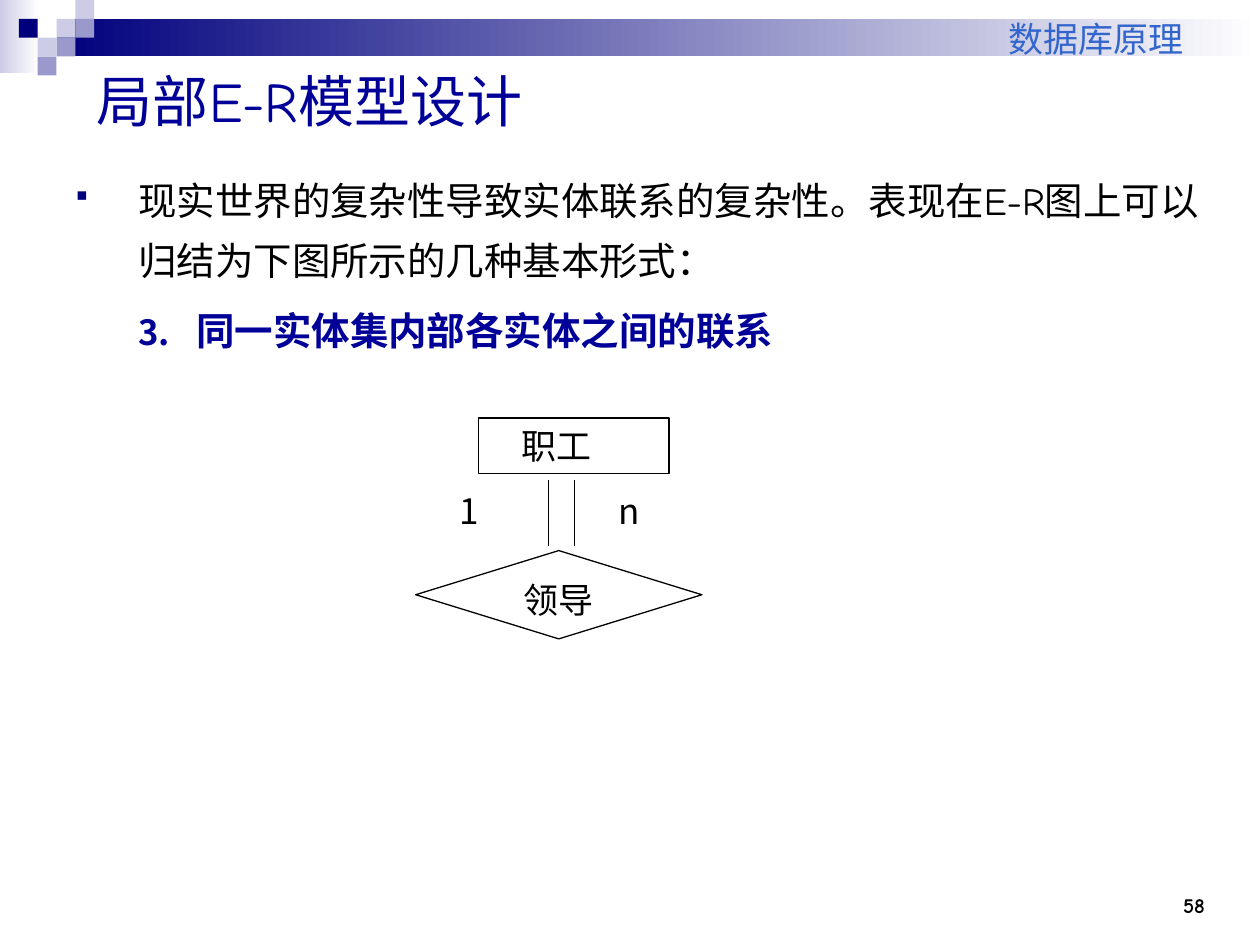
"""Build the slide on E-R links within one entity set."""
from dataclasses import dataclass

from lxml import etree
from pptx import Presentation
from pptx.dml.color import RGBColor
from pptx.enum.shapes import MSO_CONNECTOR, MSO_SHAPE
from pptx.enum.text import MSO_ANCHOR, PP_ALIGN
from pptx.oxml.ns import qn
from pptx.util import Cm, Pt

RECT, DIAMOND = MSO_SHAPE.RECTANGLE, MSO_SHAPE.DIAMOND
STRAIGHT = MSO_CONNECTOR.STRAIGHT
TOP, MIDDLE, BOTTOM = MSO_ANCHOR.TOP, MSO_ANCHOR.MIDDLE, MSO_ANCHOR.BOTTOM
LEFT, CENTER, RIGHT = PP_ALIGN.LEFT, PP_ALIGN.CENTER, PP_ALIGN.RIGHT
JUSTIFY = PP_ALIGN.JUSTIFY


@dataclass(frozen=True)
class Theme:
    navy: str = "00007D"
    blue: str = "000099"
    header: str = "3366CC"
    lilac: str = "9999CC"
    pale: str = "CCCCE6"
    white: str = "FFFFFF"
    black: str = "000000"
    latin: str = "Comic Neue"
    cjk: str = "Noto Sans CJK SC"
    title_size: int = 32
    body_size: int = 22
    label_size: int = 20
    number_size: int = 12


T = Theme()


def write(p, text, size=T.label_size, color=T.black, font=T.latin, bold=False, align=LEFT):
    p.alignment = align
    r = p.add_run()
    r.text = text
    r.font.size = Pt(size)
    r.font.bold = bold
    r.font.name = font
    r.font.color.rgb = RGBColor.from_string(color)
    etree.SubElement(r.font._element, qn("a:ea"), typeface=T.cjk)


def add_box(s, kind, box, fill, line=None):
    sp = s.shapes.add_shape(kind, *[Cm(v) for v in box])
    sp.shadow.inherit = False
    if isinstance(fill, tuple):
        sp.fill.gradient()
        sp.fill.gradient_angle = 0
        for stop, color, position in zip(sp.fill.gradient_stops, fill, (0, 1)):
            stop.color.rgb = RGBColor.from_string(color)
            stop.position = position
    else:
        sp.fill.solid()
        sp.fill.fore_color.rgb = RGBColor.from_string(fill)
    if line:
        sp.line.color.rgb = RGBColor.from_string(line)
        sp.line.width = Pt(0.75)
    else:
        sp.line.fill.background()
    return sp


prs = Presentation()
prs.slide_width, prs.slide_height = Cm(25.4), Cm(19.05)
s = prs.slides.add_slide(prs.slide_layouts[5])

add_box(s, RECT, (0, 0, 0.79, 1.47), (T.pale, T.white))
add_box(s, RECT, (1.14, 0.38, 24.26, 0.76), (T.navy, T.white))
UNIT = 0.38
for col, row, color in [
    (3, 1, T.pale), (4, 0, T.pale), (4, 1, T.lilac), (2, 2, T.pale),
    (1, 1, T.navy), (3, 2, T.lilac), (2, 3, T.lilac),
]:
    add_box(s, RECT, (col * UNIT, row * UNIT, UNIT, UNIT), color)

for text, box, inset, style in [
    ("58", (22.43, 17.35, 2.11, 1.27), 0.25,
     dict(size=T.number_size, bold=True)),
    ("数据库原理", (9.73, 0, 15.04, 1.32), 0.91, dict(color=T.header)),
]:
    tf = s.shapes.add_textbox(*[Cm(v) for v in box]).text_frame
    tf.word_wrap = True
    tf.vertical_anchor = BOTTOM
    tf.margin_right = Cm(inset)
    write(tf.paragraphs[0], text, align=RIGHT, **style)

for text, kind, box, line, align, inset in [
    ("职工", RECT, (9.65, 8.43, 3.84, 1.12), T.black, CENTER, 0.95),
    ("领导", DIAMOND, (8.38, 11.1, 5.77, 1.78), T.black, CENTER, 0.25),
    ("1", RECT, (9.02, 9.75, 1.93, 1.12), None, JUSTIFY, 0.25),
    ("n", RECT, (12.22, 9.75, 1.93, 1.32), None, JUSTIFY, 0.25),
]:
    tf = add_box(s, kind, box, T.white, line).text_frame
    tf.vertical_anchor = TOP
    tf.margin_right = Cm(inset)
    write(tf.paragraphs[0], text, font=T.cjk, align=align)

for x in (11.05, 11.58):
    link = s.shapes.add_connector(STRAIGHT, Cm(x), Cm(9.68), Cm(x), Cm(11))
    link.line.color.rgb = RGBColor.from_string(T.black)
    link.line.width = Pt(0.75)
    etree.SubElement(link._element.spPr, qn("a:effectLst"))

title = s.shapes.title
title.left, title.top, title.width, title.height = Cm(1.7), Cm(1.07), Cm(22.86), Cm(1.9)
title.text_frame.vertical_anchor = MIDDLE
write(title.text_frame.paragraphs[0], "局部E-R模型设计", size=T.title_size, color=T.blue)

tf = s.shapes.add_textbox(Cm(1.27), Cm(2.97), Cm(23.29), Cm(14.81)).text_frame
tf.word_wrap = True
tf.margin_top = Cm(0.32)
for i, (text, color, bold, left, hang, bullet_color, percent, font, tag, attrs) in enumerate([
    ("现实世界的复杂性导致实体联系的复杂性。表现在E-R图上可以归结为下图所示的几种基本形式：",
     T.black, False, 1.27, 1.27, T.navy, 75, "Wingdings", "a:buChar", {"char": "§"}),
    ("同一实体集内部各实体之间的联系",
     T.blue, True, 2.44, 1.17, T.blue, 90, T.cjk, "a:buAutoNum",
     {"type": "arabicPeriod", "startAt": "3"}),
]):
    p = tf.add_paragraph() if i else tf.paragraphs[0]
    p.line_spacing = 1.3
    p.space_before = Pt(5.5 if i else 0)
    pPr = p._p.get_or_add_pPr()
    pPr.set("marL", str(Cm(left)))
    pPr.set("indent", str(-Cm(hang)))
    clr = etree.SubElement(pPr, qn("a:buClr"))
    etree.SubElement(clr, qn("a:srgbClr"), val=bullet_color)
    etree.SubElement(pPr, qn("a:buSzPct"), val=str(percent * 1000))
    etree.SubElement(pPr, qn("a:buFont"), typeface=font)
    etree.SubElement(pPr, qn(tag), **attrs)
    write(p, text, size=T.body_size, color=color, bold=bold)

prs.save("out.pptx")
